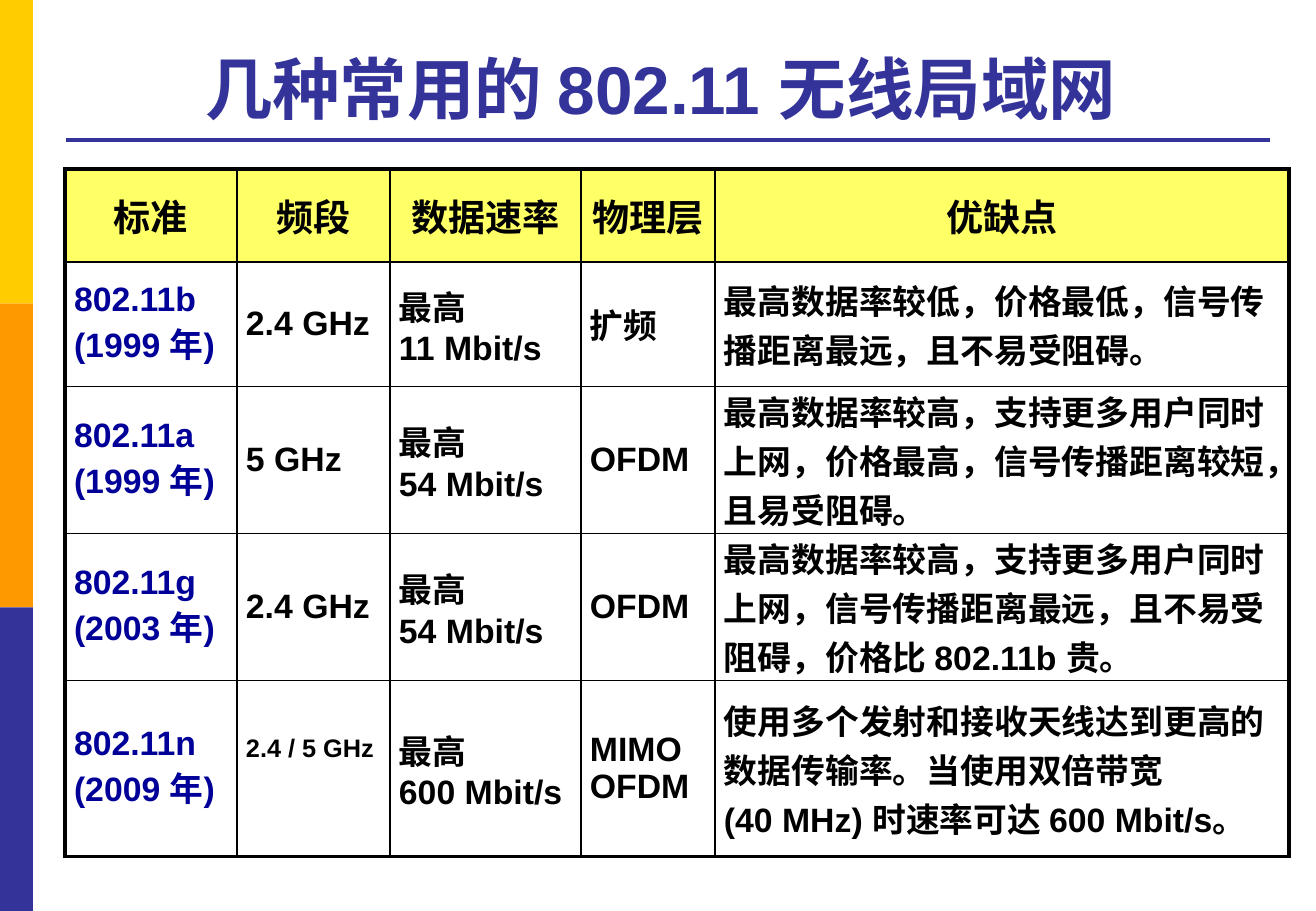
import dataclasses
import itertools

import lxml.etree
import pptx
import pptx.dml.color
import pptx.enum.shapes
import pptx.enum.text
import pptx.oxml.ns
import pptx.util

EMU_PER_PIXEL = 914400 / 121.5
SLIDE_WIDTH, SLIDE_HEIGHT = 1316, 911
ALIGN = pptx.enum.text.PP_ALIGN
ANCHOR = pptx.enum.text.MSO_ANCHOR


@dataclasses.dataclass(frozen=True)
class Theme:
    """Colours, type sizes and line widths of the slide."""
    font: str = "Arial"
    accent: str = "333399"
    bars: tuple = ("FFCC00", "FF9900", "333399")
    header_fill: str = "FFFF66"
    standard: str = "000099"
    ink: str = "000000"
    title_size: int = 40
    header_size: int = 22
    body_size: int = 20
    small_size: int = 15
    outer_line: float = 2.25
    inner_line: float = 1


def pixels(value):
    """Turn pixels into EMU."""
    return pptx.util.Emu(round(value * EMU_PER_PIXEL))


def color(value):
    """Turn a hexadecimal string into a colour."""
    return pptx.dml.color.RGBColor.from_string(value)


def apply(target, values):
    """Set every attribute named in a dict."""
    for name, value in values.items():
        setattr(target, name, value)


class SlideBuilder:
    """Holds the theme and the current slide, and adds elements to it."""

    def __init__(self, slide, theme):
        """Keep the slide and its theme."""
        self.slide = slide
        self.theme = theme

    def format_text(self, frame, size, ink, alignment):
        """Format all paragraphs and runs of a text frame."""
        for paragraph in frame.paragraphs:
            paragraph.alignment = alignment
            for run in paragraph.runs:
                apply(run.font, {"name": self.theme.font, "size": pptx.util.Pt(size), "bold": True})
                run.font.color.rgb = color(ink)

    def title(self, text, left, top, width, height):
        """Fill and place the title placeholder."""
        shape = self.slide.shapes.title
        apply(shape, {"left": pixels(left), "top": pixels(top),
                      "width": pixels(width), "height": pixels(height)})
        frame = shape.text_frame
        apply(frame, {"text": text, "word_wrap": True, "vertical_anchor": ANCHOR.BOTTOM,
                      "auto_size": pptx.enum.text.MSO_AUTO_SIZE.NONE,
                      "margin_right": pixels(28)})
        self.format_text(frame, self.theme.title_size, self.theme.accent, ALIGN.CENTER)

    def bar(self, fill, left, top, width, height):
        """Add a plain filled rectangle."""
        shape = self.slide.shapes.add_shape(
            pptx.enum.shapes.MSO_SHAPE.RECTANGLE, *map(pixels, (left, top, width, height)))
        shape.shadow.inherit = False
        shape.fill.solid()
        shape.fill.fore_color.rgb = color(fill)
        shape.line.fill.background()

    def rule(self, left, right, top):
        """Add a horizontal line without shadow."""
        line = self.slide.shapes.add_connector(
            pptx.enum.shapes.MSO_CONNECTOR.STRAIGHT, *map(pixels, (left, top, right, top)))
        line.line.color.rgb = color(self.theme.accent)
        line.line.width = pptx.util.Pt(self.theme.outer_line)
        properties = line._element.spPr
        lxml.etree.SubElement(properties, pptx.oxml.ns.qn("a:effectLst"))

    def borders(self, cell, outer_sides):
        """Draw four cell borders, thicker on the outer sides."""
        properties = cell._tc.get_or_add_tcPr()
        for side in "LRTB":
            width = self.theme.outer_line if side in outer_sides else self.theme.inner_line
            line = lxml.etree.SubElement(properties, pptx.oxml.ns.qn("a:ln" + side),
                                         w=str(pptx.util.Pt(width)))
            fill = lxml.etree.SubElement(line, pptx.oxml.ns.qn("a:solidFill"))
            lxml.etree.SubElement(fill, pptx.oxml.ns.qn("a:srgbClr"), val=self.theme.ink)

    def cell(self, cell, text, size, ink, alignment, fill=None, bottom=0):
        """Fill one cell with text and colour."""
        apply(cell, {"text": text, "vertical_anchor": ANCHOR.MIDDLE,
                     "margin_left": pixels(9), "margin_right": pixels(9),
                     "margin_top": 0, "margin_bottom": pixels(bottom)})
        self.format_text(cell.text_frame, size, ink, alignment)
        if fill:
            cell.fill.solid()
            cell.fill.fore_color.rgb = color(fill)
        else:
            cell.fill.background()

    def table(self, rows, left, top, widths, heights):
        """Add a table with a coloured header row and a coloured first column."""
        theme = self.theme
        table = self.slide.shapes.add_table(
            len(rows), len(widths),
            *map(pixels, (left, top, sum(widths), sum(heights)))).table
        apply(table, {"first_row": False, "horz_banding": False})
        for column, width in zip(table.columns, widths):
            column.width = pixels(width)
        for row, height in zip(table.rows, heights):
            row.height = pixels(height)
        last_row, last_column = len(rows) - 1, len(widths) - 1
        for row, column in itertools.product(range(len(rows)), range(len(widths))):
            cell = table.cell(row, column)
            edges = {"L": column == 0, "R": column == last_column,
                     "T": row == 0, "B": row == last_row}
            self.borders(cell, [side for side, outer in edges.items() if outer])
            text = rows[row][column]
            if row == 0:
                self.cell(cell, text, theme.header_size, theme.ink, ALIGN.CENTER,
                          theme.header_fill)
            elif column == 0:
                self.cell(cell, text, theme.body_size, theme.standard, ALIGN.LEFT)
            elif text == DUAL_BAND:
                self.cell(cell, text, theme.small_size, theme.ink, ALIGN.LEFT, bottom=39)
            else:
                self.cell(cell, text, theme.body_size, theme.ink, ALIGN.LEFT)


DUAL_BAND = "2.4 / 5\u00a0GHz"
STANDARDS = [
    ("标准", "频段", "数据速率", "物理层", "优缺点"),
    ("802.11b\n(1999 年)", "2.4 GHz", "最高\n11 Mbit/s", "扩频",
     "最高数据率较低，价格最低，信号传播距离最远，且不易受阻碍。"),
    ("802.11a\n(1999 年)", "5 GHz", "最高\n54 Mbit/s", "OFDM",
     "最高数据率较高，支持更多用户同时上网，价格最高，信号传播距离较短，且易受阻碍。"),
    ("802.11g\n(2003 年)", "2.4 GHz", "最高\n54 Mbit/s", "OFDM",
     "最高数据率较高，支持更多用户同时上网，信号传播距离最远，且不易受阻碍，价格比 802.11b 贵。"),
    ("802.11n\n(2009 年)", DUAL_BAND, "最高\n600\u00a0Mbit/s", "MIMO\nOFDM",
     "使用多个发射和接收天线达到更高的数据传输率。当使用双倍带宽\v(40 MHz) 时速率可达 600 Mbit/s。"),
]


def main():
    """Build the slide and save it."""
    presentation = pptx.Presentation()
    apply(presentation, {"slide_width": pixels(SLIDE_WIDTH),
                         "slide_height": pixels(SLIDE_HEIGHT)})
    theme = Theme()
    title_only = presentation.slide_layouts.get_by_name("Title Only")
    builder = SlideBuilder(presentation.slides.add_slide(title_only), theme)
    bar_height = SLIDE_HEIGHT / len(theme.bars)
    for index, fill in enumerate(theme.bars):
        builder.bar(fill, 0, index * bar_height, 33, bar_height)
    builder.rule(66, 1270, 140)
    builder.title("几种常用的 802.11 无线局域网", 67, 26, 1203, 108)
    builder.table(STANDARDS, 65, 169, widths=(172, 153, 191, 134, 574),
                  heights=(93, 124, 147, 147, 176))
    presentation.save("out.pptx")


main()
